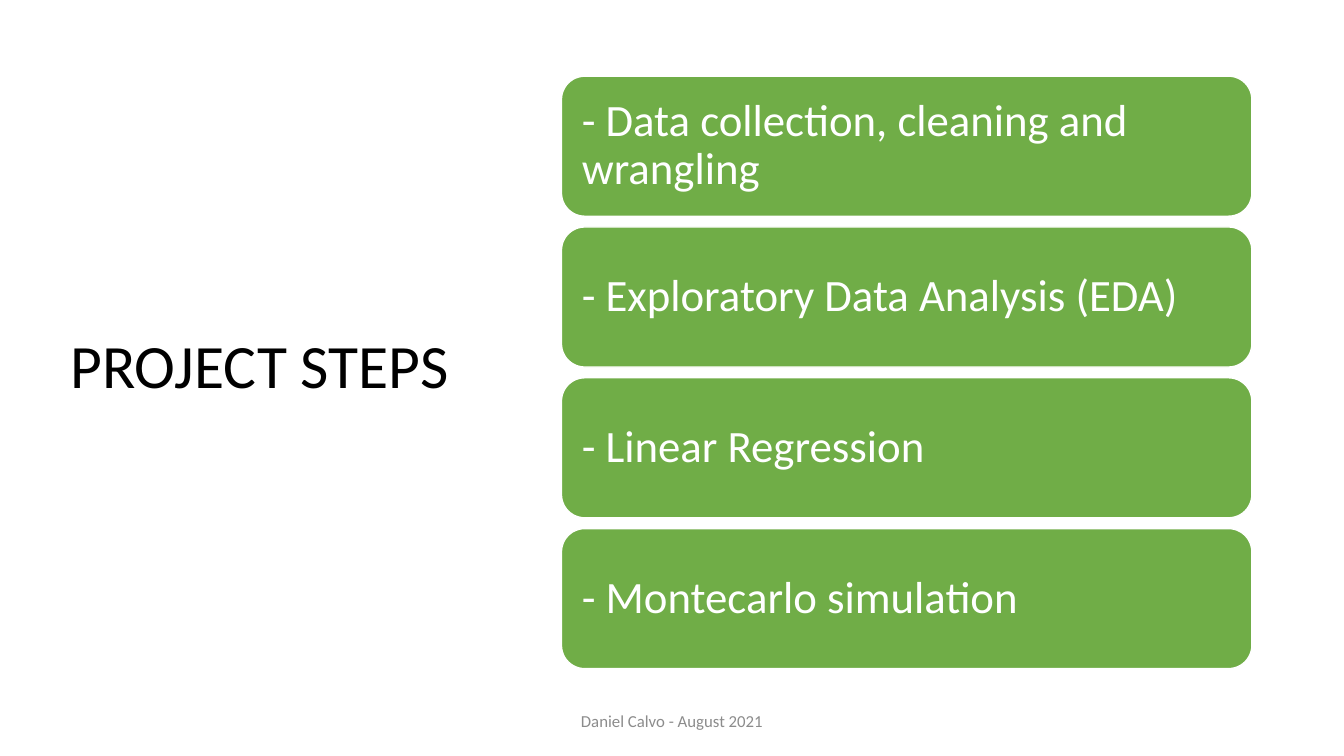
"""Build the project steps slide: a title beside four stacked boxes."""
from pptx import Presentation
from pptx.dml.color import RGBColor
from pptx.enum.shapes import MSO_SHAPE
from pptx.enum.text import MSO_ANCHOR, PP_ALIGN
from pptx.util import Cm, Pt

BLACK = RGBColor(0x00, 0x00, 0x00)
GREY = RGBColor(0x8C, 0x8C, 0x8C)
GREEN = RGBColor(0x70, 0xAD, 0x47)
WHITE = RGBColor(0xFF, 0xFF, 0xFF)


def write(shape, text, size, color, align, spacing):
    frame = shape.text_frame
    frame.word_wrap = True
    frame.vertical_anchor = MSO_ANCHOR.MIDDLE
    para = frame.paragraphs[0]
    para.alignment = align
    para.line_spacing = spacing
    run = para.add_run()
    run.text = text
    run.font.name = "Calibri"
    run.font.size = Pt(size)
    run.font.color.rgb = color


deck = Presentation()
deck.slide_width = Cm(33.87)
deck.slide_height = Cm(19.05)
slide = deck.slides.add_slide(deck.slide_layouts[6])

title = slide.shapes.add_textbox(Cm(0.4), Cm(1.55), Cm(12.3), Cm(15.47))
write(title, "PROJECT STEPS", 44, BLACK, PP_ALIGN.CENTER, 0.9)

footer = slide.shapes.add_textbox(Cm(11.22), Cm(17.65), Cm(11.43), Cm(1.01))
write(footer, "Daniel Calvo - August 2021", 12, GREY, PP_ALIGN.CENTER, 1.0)

steps = [
    "- Data collection, cleaning and wrangling",
    "- Exploratory Data Analysis (EDA)",
    "- Linear Regression",
    "- Montecarlo simulation",
]
top, height, gap = 1.92, 3.53, 0.27
for index, step in enumerate(steps):
    box = slide.shapes.add_shape(
        MSO_SHAPE.ROUNDED_RECTANGLE,
        Cm(14.26 - 0.11), Cm(top + index * (height + gap)), Cm(17.4), Cm(height))
    box.shadow.inherit = False
    box.fill.solid()
    box.fill.fore_color.rgb = GREEN
    box.line.color.rgb = WHITE
    box.line.width = Pt(1)
    frame = box.text_frame
    frame.margin_left = frame.margin_right = Cm(0.34)
    frame.margin_top = frame.margin_bottom = Cm(0.34)
    write(box, step, 32, WHITE, PP_ALIGN.LEFT, 0.9)

deck.save("out.pptx")
